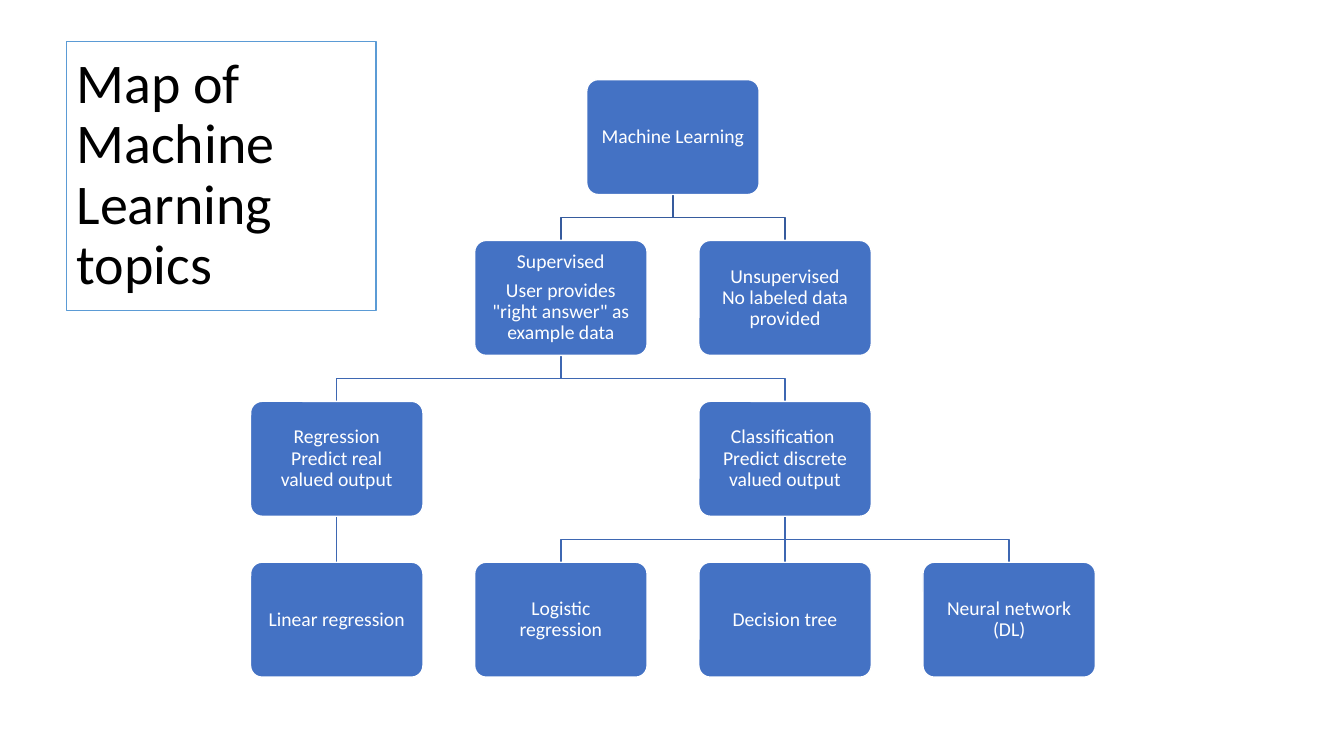
from copy import deepcopy
from dataclasses import dataclass

from lxml import etree
from pptx import Presentation
from pptx.dml.color import RGBColor
from pptx.enum.shapes import MSO_CONNECTOR, MSO_SHAPE
from pptx.enum.text import MSO_ANCHOR, MSO_AUTO_SIZE, PP_ALIGN
from pptx.oxml.ns import qn
from pptx.util import Inches, Pt

ROUNDED = MSO_SHAPE.ROUNDED_RECTANGLE
STRAIGHT = MSO_CONNECTOR.STRAIGHT
MIDDLE = MSO_ANCHOR.MIDDLE
NO_AUTOFIT = MSO_AUTO_SIZE.NONE
LEFT, CENTER = PP_ALIGN.LEFT, PP_ALIGN.CENTER

# Tree grid, in inches
BOX_WIDTH, BOX_HEIGHT = 1.71, 1.14
FIRST_CENTER, FIRST_TOP = 3.34, 0.79
COLUMN_PITCH = BOX_WIDTH * 1.3
ROW_PITCH = BOX_HEIGHT * 1.4

# Topic: (column, row, paragraphs); "\n" breaks a line within a paragraph
TOPICS = {
    "root": (1.5, 0, ["Machine Learning"]),
    "supervised": (1, 1, ["Supervised", 'User provides "right answer" as example data']),
    "unsupervised": (2, 1, ["Unsupervised\nNo labeled data provided"]),
    "regression": (0, 2, ["Regression\nPredict real valued output"]),
    "classification": (2, 2, ["Classification \nPredict discrete valued output"]),
    "linear": (0, 3, ["Linear regression"]),
    "logistic": (1, 3, ["Logistic regression"]),
    "tree": (2, 3, ["Decision tree"]),
    "neural": (3, 3, ["Neural network (DL)"]),
}
CHILDREN = {
    "root": ["supervised", "unsupervised"],
    "supervised": ["regression", "classification"],
    "regression": ["linear"],
    "classification": ["logistic", "tree", "neural"],
}


@dataclass(frozen=True)
class Theme:
    font: str = "Calibri"
    title_size: int = 40
    topic_size: int = 14
    space_after: int = 5
    line_width: int = 1
    black: str = "000000"
    white: str = "FFFFFF"
    box: str = "4472C4"
    title_border: str = "5B9BD5"
    root_branch: str = "365B9D"
    branch: str = "3E67B2"


def write_text(text_frame, paragraphs, *, theme, size, color, align, space_after=0):
    """Fill a text frame with formatted paragraphs."""
    text_frame.word_wrap = True
    text_frame.auto_size = NO_AUTOFIT
    text_frame.vertical_anchor = MIDDLE
    for index, text in enumerate(paragraphs):
        paragraph = text_frame.add_paragraph() if index else text_frame.paragraphs[0]
        paragraph.text = text
        paragraph.alignment = align
        paragraph.line_spacing = 0.9
        paragraph.space_before = Pt(0)
        paragraph.space_after = Pt(space_after)
        for run in paragraph.runs:
            run.font.name = theme.font
            run.font.size = Pt(size)
            run.font.color.rgb = RGBColor.from_string(color)
        # Line breaks take the size of the text around them
        for line_break in paragraph._p.findall(qn("a:br")):
            line_break.append(deepcopy(paragraph._p.find(qn("a:r")).find(qn("a:rPr"))))


class TopicMap:
    def __init__(self, slide, theme):
        self.slide = slide
        self.theme = theme

    def set_line(self, shape, color):
        shape.line.color.rgb = RGBColor.from_string(color)
        shape.line.width = Pt(self.theme.line_width)

    def set_fill(self, shape, color):
        shape.fill.solid()
        shape.fill.fore_color.rgb = RGBColor.from_string(color)

    def title(self, text, left, top, width, height):
        shape = self.slide.shapes.title
        shape.left, shape.top = Inches(left), Inches(top)
        shape.width, shape.height = Inches(width), Inches(height)
        self.set_fill(shape, self.theme.white)
        self.set_line(shape, self.theme.title_border)
        write_text(shape.text_frame, [text], theme=self.theme, align=LEFT,
                   size=self.theme.title_size, color=self.theme.black)

    def topic(self, column, row, paragraphs):
        left = FIRST_CENTER + column * COLUMN_PITCH - BOX_WIDTH / 2
        top = FIRST_TOP + row * ROW_PITCH
        shape = self.slide.shapes.add_shape(
            ROUNDED, Inches(left), Inches(top), Inches(BOX_WIDTH), Inches(BOX_HEIGHT))
        shape.adjustments[0] = 0.1
        shape.shadow.inherit = False
        self.set_fill(shape, self.theme.box)
        self.set_line(shape, self.theme.white)
        frame = shape.text_frame
        frame.margin_left = frame.margin_right = Inches(0.1)
        frame.margin_top = frame.margin_bottom = Inches(0.1)
        write_text(frame, paragraphs, theme=self.theme, align=CENTER,
                   size=self.theme.topic_size, color=self.theme.white,
                   space_after=self.theme.space_after)

    def branch(self, parent, child, color):
        (parent_column, parent_row, _), (child_column, child_row, _) = parent, child
        start_x = Inches(FIRST_CENTER + parent_column * COLUMN_PITCH)
        end_x = Inches(FIRST_CENTER + child_column * COLUMN_PITCH)
        start_y = Inches(FIRST_TOP + parent_row * ROW_PITCH + BOX_HEIGHT)
        end_y = Inches(FIRST_TOP + child_row * ROW_PITCH)
        if start_x == end_x:
            shape = self.slide.shapes.add_connector(STRAIGHT, start_x, start_y, end_x, end_y)
            etree.SubElement(shape._element.spPr, qn("a:effectLst"))
        else:
            middle_y = (start_y + end_y) // 2
            builder = self.slide.shapes.build_freeform(start_x, start_y)
            builder.add_line_segments(
                [(start_x, middle_y), (end_x, middle_y), (end_x, end_y)], close=False)
            shape = builder.convert_to_shape()
            shape.shadow.inherit = False
            shape.fill.background()
        self.set_line(shape, color)


def main():
    presentation = Presentation()
    presentation.slide_width, presentation.slide_height = Inches(13.33), Inches(7.5)
    title_only = presentation.slide_layouts[5]
    theme = Theme()
    topic_map = TopicMap(presentation.slides.add_slide(title_only), theme)

    topic_map.title("Map of Machine Learning topics", 0.66, 0.41, 3.07, 2.67)

    # Branches lie behind the topic boxes
    for parent, children in CHILDREN.items():
        color = theme.root_branch if parent == "root" else theme.branch
        for child in children:
            topic_map.branch(TOPICS[parent], TOPICS[child], color)
    for topic in TOPICS.values():
        topic_map.topic(*topic)

    presentation.save("out.pptx")


if __name__ == "__main__":
    main()
